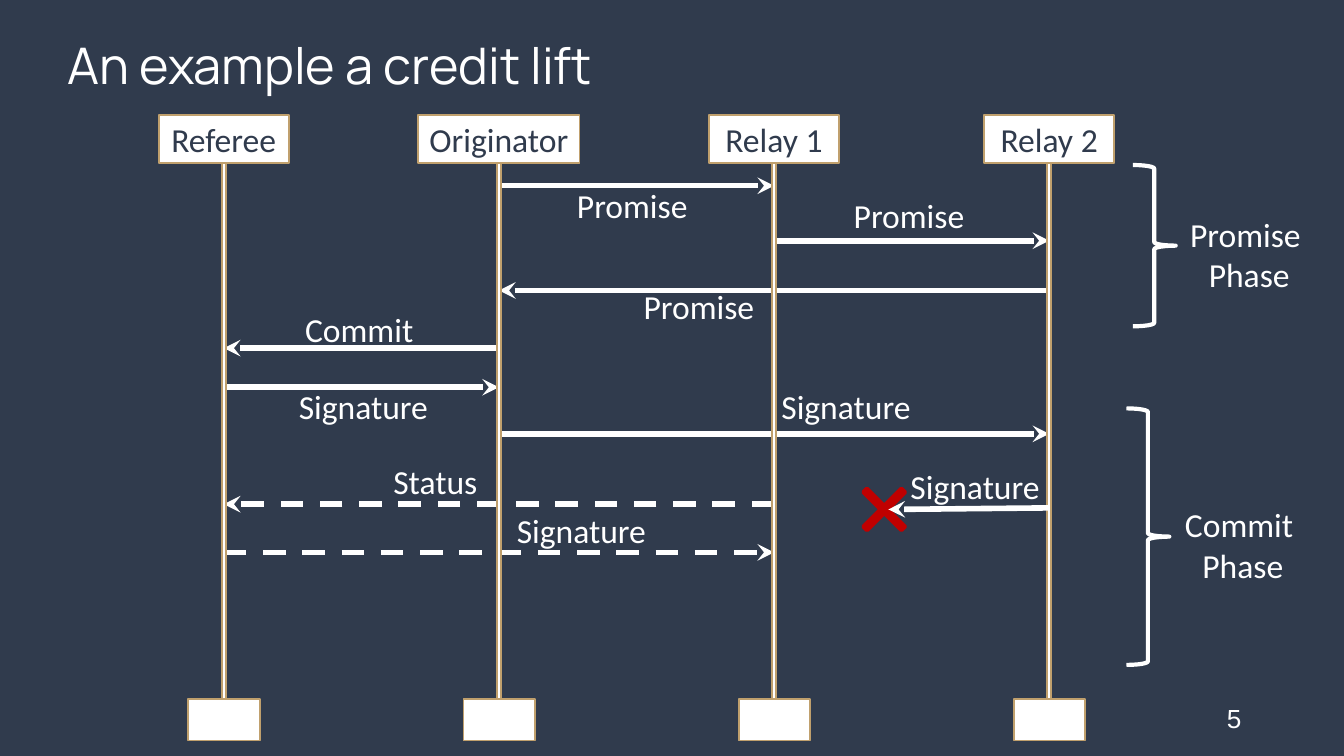
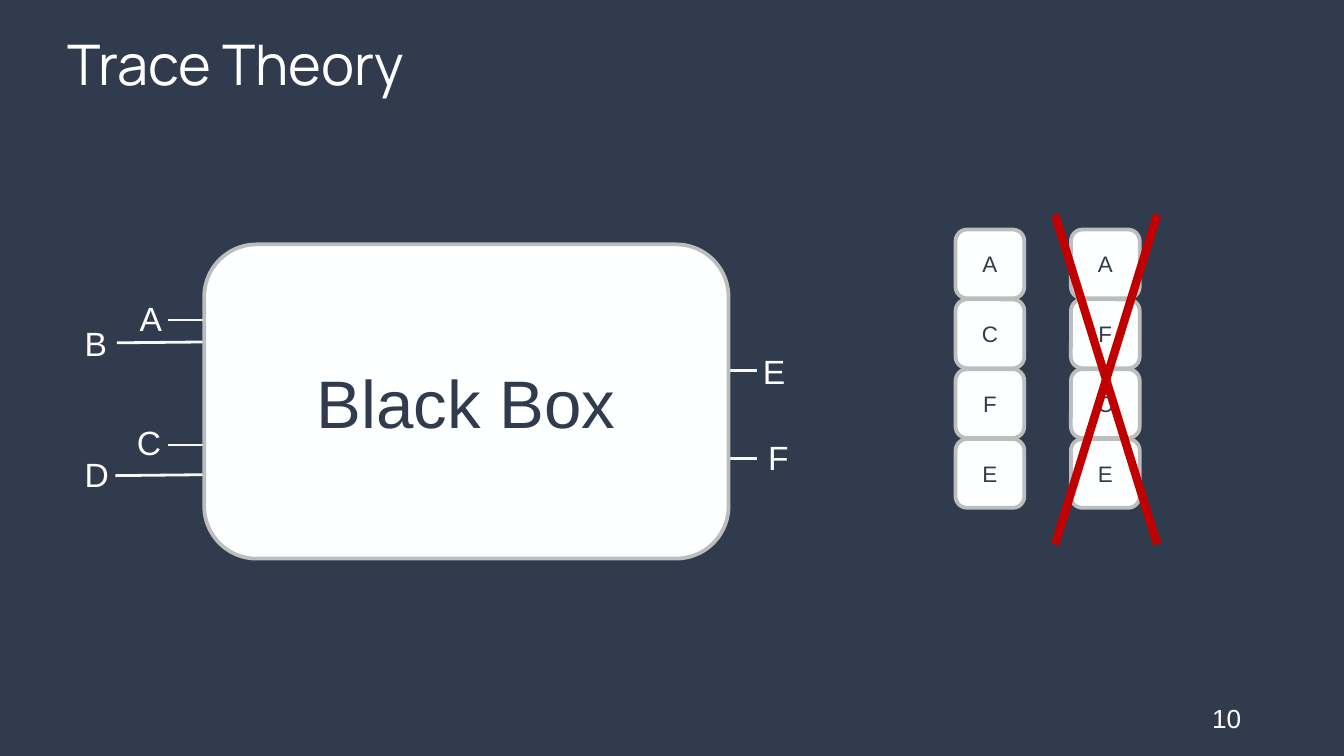
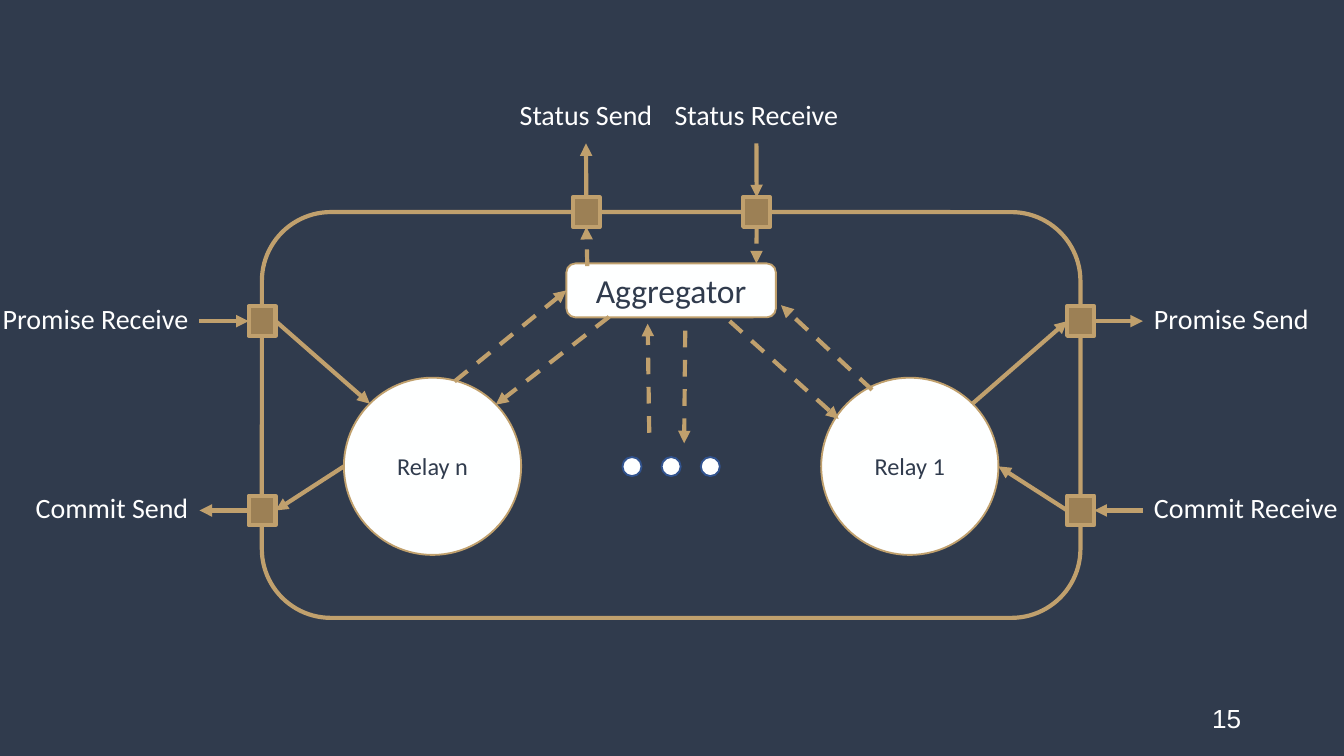
import pptx
import pptx.dml.color
import pptx.enum.dml
import pptx.enum.shapes
import pptx.enum.text
import pptx.oxml.ns
import pptx.oxml.xmlchemy
import pptx.util

Cm, Pt = pptx.util.Cm, pptx.util.Pt
KIND = pptx.enum.shapes.MSO_SHAPE
ALIGN = pptx.enum.text.PP_ALIGN
ANCHOR = pptx.enum.text.MSO_ANCHOR

HUES = {
    "navy": "303B4D", "white": "FFFFFF", "paper": "FEFFFF", "mist": "F8F9F9",
    "gold": "C0A06D", "bronze": "9C8055", "grey": "BCBDBD", "red": "C00000",
    "blue": "31538F",
}
TIGHT, LOOSE = (0.19, 0.1), (0.25, 0.13)  # side and top text margins


def hue(name):
    return pptx.dml.color.RGBColor.from_string(HUES[name])


def lengths(*values):
    return [Cm(value) for value in values]


# Shared drawing tools

def write(frame, words, size=18, font="Calibri", color="white", align="CENTER",
          anchor="TOP", pad=TIGHT, lead=None):
    frame.word_wrap = True
    frame.vertical_anchor = getattr(ANCHOR, anchor)
    frame.margin_left = frame.margin_right = Cm(pad[0])
    frame.margin_top = frame.margin_bottom = Cm(pad[1])
    frame.text = words
    for para in frame.paragraphs:
        para.alignment = getattr(ALIGN, align)
        if lead:
            para.line_spacing = lead
        for run in para.runs:
            run.font.size = Pt(size)
            run.font.name = font
            run.font.color.rgb = hue(color)


def label(slide, words, box, **style):
    write(slide.shapes.add_textbox(*lengths(*box)).text_frame, words, **style)


def draw(slide, kind, box, fill="paper", edge="gold", weight=1, words="", **style):
    shape = slide.shapes.add_shape(kind, *lengths(*box))
    shape.shadow.inherit = False
    if fill:
        shape.fill.solid()
        shape.fill.fore_color.rgb = hue(fill)
    else:
        shape.fill.background()
    shape.line.color.rgb = hue(edge)
    shape.line.width = Pt(weight)
    if words:
        write(shape.text_frame, words, **{"color": "navy", "anchor": "MIDDLE", **style})
    return shape


def link(slide, start, end, color="gold", weight=2.25, dash=False, head=None):
    """Each end is an (x, y) point or a (shape, side) joint."""
    def joint(spot):
        return not isinstance(spot[0], (int, float))

    ends = [(0, 0) if joint(spot) else spot for spot in (start, end)]
    wire = slide.shapes.add_connector(
        pptx.enum.shapes.MSO_CONNECTOR.STRAIGHT, *lengths(*ends[0], *ends[1]))
    if joint(start):
        wire.begin_connect(*start)
    if joint(end):
        wire.end_connect(*end)
    wire.line.color.rgb = hue(color)
    wire.line.width = Pt(weight)
    if dash:
        wire.line.dash_style = pptx.enum.dml.MSO_LINE.DASH
    props = wire.element.spPr
    if head:
        tail = pptx.oxml.xmlchemy.OxmlElement("a:tailEnd")
        tail.set("type", head)
        props.find(pptx.oxml.ns.qn("a:ln")).append(tail)
    props.append(pptx.oxml.xmlchemy.OxmlElement("a:effectLst"))


def start_slide(deck, page, title=None, size=27):
    slide = deck.slides.add_slide(deck.slide_layouts[6])
    slide.background.fill.solid()
    slide.background.fill.fore_color.rgb = hue("navy")
    if title:
        label(slide, title, (1.09, 0.71, 23.22, 1.14), size=size, font="Manrope",
              align="LEFT", anchor="MIDDLE", lead=0.9)
    label(slide, str(page), (17.93, 13.23, 5.72, 0.76), size=14, font="Arial",
          align="RIGHT", anchor="MIDDLE", lead=0.9)
    return slide


# Message chart: the box spans the first to the last lifeline

HEADS = [("Referee", 2.46), ("Originator", 3.05), ("Relay 1", 2.46), ("Relay 2", 2.46)]
# words, from lane, to lane, line y, text centre x, text top, dashed
NOTES = [
    ("Promise", 1, 2, 1.33, 7.72, 1.22, False),
    ("Promise", 3, 1, 3.31, 8.98, 3.13, False),
    ("Promise", 2, 3, 2.37, 12.95, 1.4, False),
    ("Signature", 0, 1, 5.14, 2.64, 5.01, False),
    ("Signature", 1, 3, 6.02, 11.76, 5.01, False),
    ("Status", 2, 0, 7.35, 4, 6.43, True),
    ("Signature", 0, 2, 8.26, 6.76, 7.35, True),
    ("Commit", 1, 0, 4.4, 2.56, 3.56, False),
]


def lanes(slide, box):
    x, y, w, h = box
    step = w / (len(HEADS) - 1)

    def note(words, start, end, mid, top, span, dash=False):
        link(slide, start, end, "white", 3, dash, "stealth")
        label(slide, words, (x + mid - span / 2, y + top, span, 0.97))

    for words, first, last, level, mid, top, dash in NOTES:
        note(words, (x + first * step, y + level), (x + last * step, y + level),
             mid, top, abs(last - first) * step, dash)

    # Lifelines with their heads and feet
    for lane, (name, wide) in enumerate(HEADS):
        mid = x + lane * step
        draw(slide, KIND.RECTANGLE, (mid - 0.04, y + 0.91, 0.08, h - 0.95), "white")
        draw(slide, KIND.RECTANGLE, (mid - wide / 2, y, wide, 0.91), "white", words=name)
        draw(slide, KIND.RECTANGLE, (mid - 0.67, y + h - 0.79, 1.35, 0.79), "white")

    # Lost message
    cross = draw(slide, KIND.CROSS, (x + 11.97, y + 6.94, 1.02, 1.02), "red", "red", 2)
    cross.adjustments[0] = 0.45
    cross.rotation = 45
    note("Signature", (x + w, y + 7.42), (x + 12.56, y + 7.45), 14.2, 6.53, 2 * step)


def phase(slide, box, words):
    x, y, w, h = box
    draw(slide, KIND.RIGHT_BRACE, box, None, "white", 2.25)
    label(slide, words, (x - 0.05, y + h / 2 - 0.71, 4.5, 1.73))


# Black box with pins, and stacks of events

# name, label place, outer wire end, inner wire end
PINS = [
    ("A", (-1.47, 0.89), (-0.68, 1.43), (1.45, 1.43)),
    ("B", (-2.51, 1.35), (-1.65, 1.86), (1.42, 1.83)),
    ("C", (-1.52, 3.23), (-0.68, 3.79), (1.42, 3.79)),
    ("D", (-2.51, 3.84), (-1.68, 4.37), (3.2, 4.32)),
    ("E", (10.31, 1.88), (10.44, 2.39), (5.67, 2.39)),
    ("F", (10.41, 3.51), (10.44, 4.04), (4.24, 4.04)),
]


def pinned(slide, box):
    x, y = box[:2]
    for name, place, outer, inner in PINS:
        link(slide, (x + outer[0], y + outer[1]), (x + inner[0], y + inner[1]), "mist", 1.5)
    draw(slide, KIND.ROUNDED_RECTANGLE, box, edge="grey", weight=2,
         words="Black Box", size=36, font="Arial", pad=LOOSE)
    for name, place, outer, inner in PINS:
        label(slide, name, (x + place[0], y + place[1], 1.09, 1.02),
              font="Arial", align="LEFT", pad=LOOSE)


def stack(slide, box, names, struck=False):
    x, y, w, h = box
    for row, name in enumerate(names):
        top = y + row * (h - w) / (len(names) - 1)
        draw(slide, KIND.ROUNDED_RECTANGLE, (x, top, w, w), edge="grey", weight=2,
             words=name, size=12, font="Arial", pad=LOOSE)
    if struck:
        left, right, top, base = x - 0.3, x + w + 0.33, y - 0.28, y + h + 0.69
        link(slide, (left, top), (right, base), "red", 4.5)
        link(slide, (left, base), (right, top), "red", 4.5)


# Relay network: all parts sit relative to the frame

def port(slide, mid, side, words, inward):
    """Side is the outer side of the port: 0 top, 1 left, 3 right."""
    x, y = mid
    shape = draw(slide, KIND.RECTANGLE, (x - 0.25, y - 0.28, 0.51, 0.56), "bronze", weight=2.25)
    far, place, align = {
        0: ((x, y - 1.3), (x - 1.98, y - 2.27), "CENTER"),
        1: ((x - 1.18, y), (x - 5.16, y - 0.47), "RIGHT"),
        3: ((x + 1.18, y), (x + 1.2, y - 0.47), "LEFT"),
    }[side]
    ends = [far, (shape, side)]
    link(slide, *(ends if inward else ends[::-1]), head="triangle")
    label(slide, words, (*place, 3.96, 0.84), size=15, align=align)
    return shape


def network(slide, box):
    x, y, w, h = box
    mid = x + w / 2

    def at(dx, dy):
        return x + dx, y + dy

    frame = draw(slide, KIND.ROUNDED_RECTANGLE, box, None, weight=2.25)
    frame.adjustments[0] = 0.17

    # Ports on the frame
    high, low = y + 2.06, y + 5.64
    take = port(slide, (x, high), 1, "Promise Receive", True)
    give = port(slide, (x, low), 1, "Commit Send", False)
    pass_on = port(slide, (x + w, high), 3, "Promise Send", False)
    accept = port(slide, (x + w, low), 3, "Commit Receive", True)
    tell = port(slide, (mid - 1.61, y), 0, "Status Send", False)
    hear = port(slide, (mid + 1.61, y), 0, "Status Receive", True)

    # Relays, hub and dots
    size, inset, top = 3.35, 1.55, y + 3.13
    near, far = x + inset, x + w - inset
    for name, left in (("Relay n", near), ("Relay 1", far - size)):
        draw(slide, KIND.OVAL, (left, top, size, size), words=name, size=13)
    for shift in (-0.74, 0, 0.74):
        draw(slide, KIND.OVAL, (mid + shift - 0.18, y + 4.63, 0.36, 0.36), edge="blue")
    hub = draw(slide, KIND.ROUNDED_RECTANGLE, (mid - 1.98, y + 0.97, 3.96, 1.02),
               words="Aggregator")

    # Flows between ports and relays
    dent = size * (1 - 0.5 ** 0.5) / 2
    flows = [
        ((take, 3), (near + dent, top + dent)),
        ((near, top + size / 2), (give, 3)),
        ((far - dent, top + dent), (pass_on, 1)),
        ((accept, 1), (far, top + size / 2)),
    ]
    for start, end in flows:
        link(slide, start, end, head="triangle")

    # Status flows through the hub
    status = [
        (at(3.64, 3.2), (hub, 1)),
        (at(6.56, 1.98), at(4.42, 3.64)),
        (at(6.15, 1.02), (tell, 2)),
        (at(11.53, 3.36), at(9.81, 1.76)),
        (at(8.84, 2.06), at(10.9, 3.91)),
        (at(7.32, 4.17), at(7.29, 2.11)),
        (at(8, 2.24), at(7.98, 4.37)),
        ((hear, 2), (mid + 1.61, y + 0.97)),
    ]
    for start, end in status:
        link(slide, start, end, dash=True, head="triangle")


def main():
    deck = pptx.Presentation()
    deck.slide_width, deck.slide_height = lengths(25.4, 14.29)

    slide = start_slide(deck, 5, "An example a credit lift")
    lanes(slide, (4.23, 2.18, 15.6, 11.82))
    phase(slide, (21.41, 3.12, 0.81, 3.05), "Promise \nPhase")
    phase(slide, (21.29, 7.72, 0.81, 4.85), "Commit \nPhase")

    slide = start_slide(deck, 10, "Trace Theory", 30)
    pinned(slide, (3.86, 4.62, 9.91, 5.94))
    stack(slide, (18.06, 4.34, 1.3, 5.26), "ACFE")
    stack(slide, (20.24, 4.34, 1.3, 5.26), "AFCE", struck=True)

    slide = start_slide(deck, 15)
    network(slide, (4.95, 4.01, 15.47, 7.67))

    deck.save("out.pptx")


if __name__ == "__main__":
    main()
